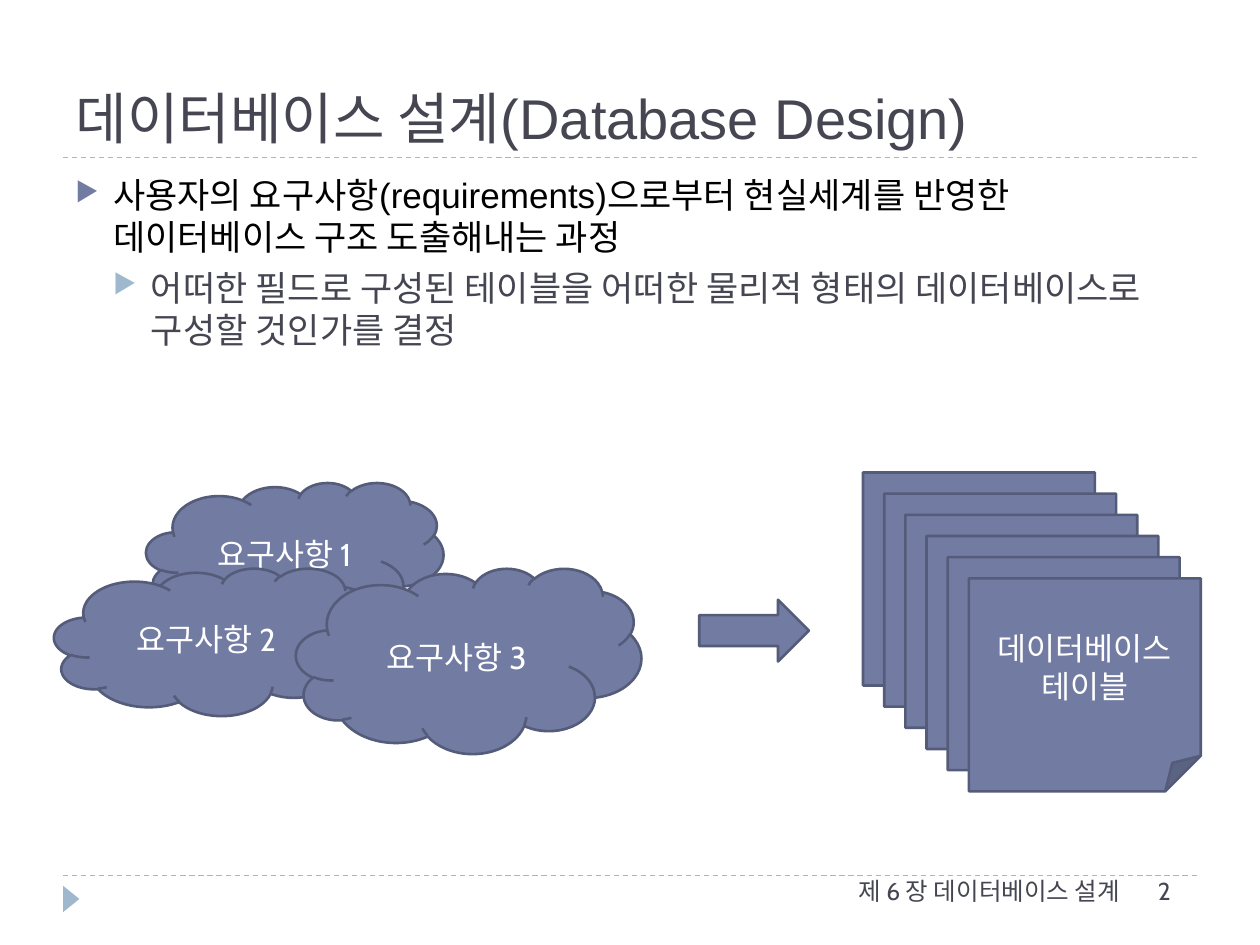
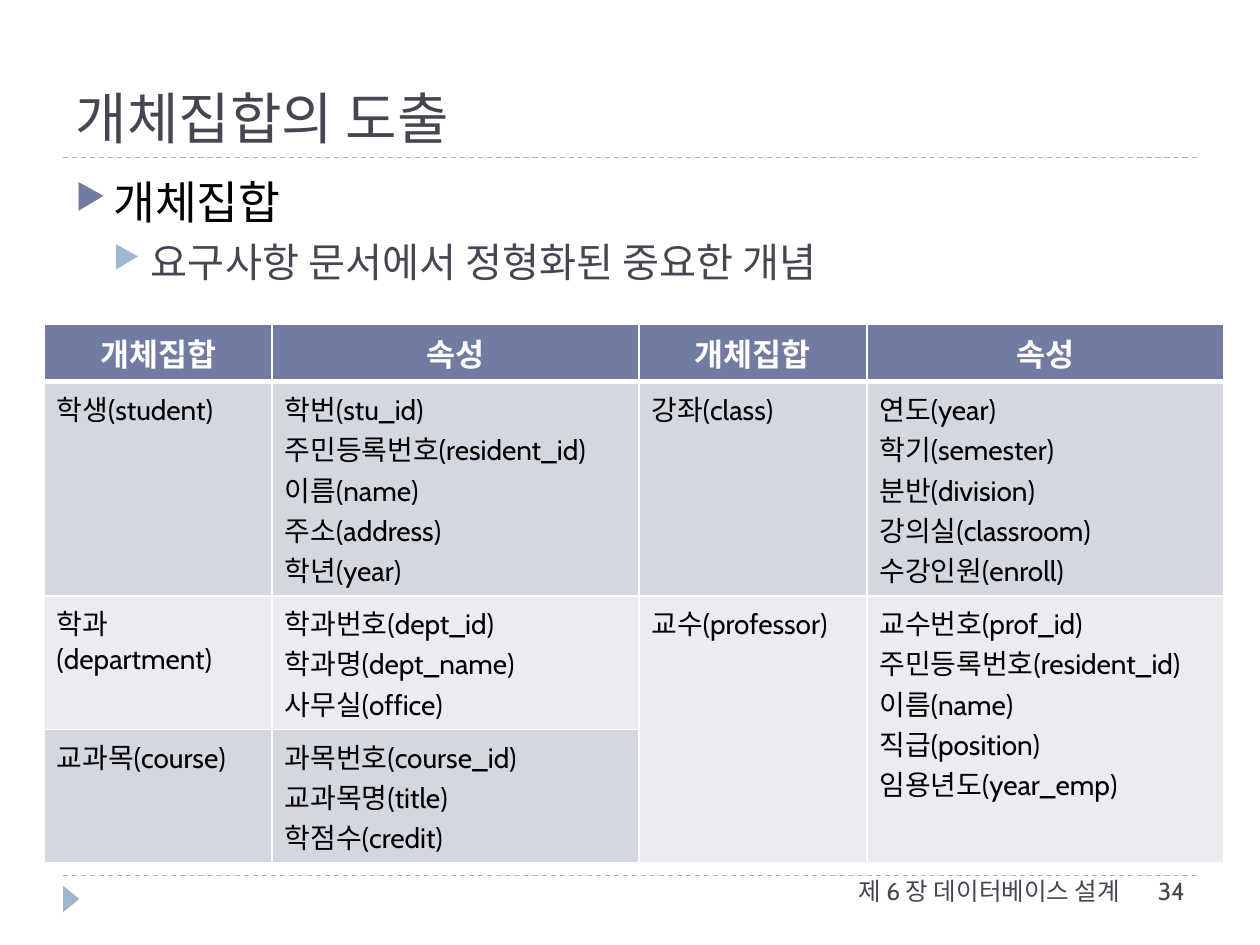
from lxml.etree import SubElement
from pptx import Presentation
from pptx.dml.color import RGBColor
from pptx.enum.dml import MSO_LINE
from pptx.enum.shapes import MSO_CONNECTOR, MSO_SHAPE
from pptx.enum.text import MSO_ANCHOR, MSO_AUTO_SIZE, PP_ALIGN
from pptx.oxml.ns import qn
from pptx.util import Inches, Pt

INDIGO = RGBColor(0x72, 0x7C, 0xA3)
OUTLINE = RGBColor(0x54, 0x5C, 0x79)
SKY = RGBColor(0x9F, 0xB8, 0xCD)
SLATE = RGBColor(0x46, 0x46, 0x53)
BAND_DARK = RGBColor(0xD5, 0xD7, 0xE0)
BAND_LIGHT = RGBColor(0xEB, 0xEC, 0xF0)
WHITE = RGBColor(0xFF, 0xFF, 0xFF)
BLACK = RGBColor(0x00, 0x00, 0x00)

TITLE = {"name": "Arial", "size": Pt(32), "color": SLATE}
FOOTER = {"name": "Cabin", "size": Pt(14), "color": SLATE}
SHAPE_TEXT = {"name": "Cabin", "size": Pt(18), "color": WHITE}
TABLE_HEAD = {"name": "Cabin", "size": Pt(18), "color": WHITE, "bold": True}
TABLE_BODY = {"name": "Cabin", "size": Pt(16), "color": BLACK, "bold": False}


def write(frame, lines, style, align=PP_ALIGN.LEFT):
    """Fill a text frame with one paragraph per line."""
    for index, line in enumerate(lines):
        para = frame.paragraphs[0] if index == 0 else frame.add_paragraph()
        para.alignment = align
        span = para.add_run()
        span.text = line
        for key, value in style.items():
            if key == "color":
                span.font.color.rgb = value
            else:
                setattr(span.font, key, value)


def add_figure(shapes, kind, left, top, width, height, lines=()):
    """Add an outlined indigo shape with centred text."""
    shape = shapes.add_shape(kind, Inches(left), Inches(top), Inches(width), Inches(height))
    shape.shadow.inherit = False
    shape.fill.solid()
    shape.fill.fore_color.rgb = INDIGO
    shape.line.color.rgb = OUTLINE
    shape.line.width = Pt(1.5)
    shape.text_frame.vertical_anchor = MSO_ANCHOR.MIDDLE
    write(shape.text_frame, lines, SHAPE_TEXT, PP_ALIGN.CENTER)


deck = Presentation()
deck.slide_width, deck.slide_height = Inches(10), Inches(7.5)

# Title, page number and the two bullets (text, size) of each slide
outlines = [
    ("데이터베이스 설계(Database Design)", "2", [
        ("사용자의 요구사항(requirements)으로부터 현실세계를 반영한 데이터베이스 구조 도출해내는 과정", 20),
        ("어떠한 필드로 구성된 테이블을 어떠한 물리적 형태의 데이터베이스로 구성할 것인가를 결정", 20)]),
    ("개체집합의 도출", "34", [
        ("개체집합", 26),
        ("요구사항 문서에서 정형화된 중요한 개념", 23)]),
]
# Text colour, bullet colour and space before of each bullet level
levels = [(BLACK, INDIGO, 6), (SLATE, SKY, 5)]

pages = []
for heading, number, bullets in outlines:
    page = deck.slides.add_slide(deck.slide_layouts[5])
    pages.append(page)

    # Dashed rules and corner marker
    for y in (6.95, 1.25):
        rule = page.shapes.add_connector(
            MSO_CONNECTOR.STRAIGHT, Inches(0.5), Inches(y), Inches(9.5), Inches(y))
        rule.line.color.rgb = SKY
        rule.line.width = Pt(0.75)
        rule.line.dash_style = MSO_LINE.DASH
        SubElement(rule._element.spPr, qn("a:effectLst"))
    marker = page.shapes.add_shape(
        MSO_SHAPE.ISOSCELES_TRIANGLE, Inches(0.46), Inches(7.07), Inches(0.21), Inches(0.13))
    marker.rotation = 90
    marker.shadow.inherit = False
    marker.fill.solid()
    marker.fill.fore_color.rgb = SKY
    marker.line.fill.background()

    # Title
    title = page.shapes.title
    title.left, title.top, title.width, title.height = map(Inches, (0.5, 0.17, 9, 1.08))
    title.text_frame.auto_size = MSO_AUTO_SIZE.NONE
    title.text_frame.vertical_anchor = MSO_ANCHOR.BOTTOM
    write(title.text_frame, [heading], TITLE)

    # Bullets
    body = page.shapes.add_textbox(Inches(0.5), Inches(1.33), Inches(9), Inches(5.4))
    body.text_frame.word_wrap = True
    write(body.text_frame, [text for text, size in bullets], {"name": "Arial"})
    for level, para in enumerate(body.text_frame.paragraphs):
        text_color, bullet_color, space = levels[level]
        para.level = level
        para.space_before = Pt(space)
        para.runs[0].font.size = Pt(bullets[level][1])
        para.runs[0].font.color.rgb = text_color
        properties = para._p.get_or_add_pPr()
        properties.set("marL", str(Inches(0.3 * (level + 1))))
        properties.set("indent", str(Inches(-0.3)))
        color = SubElement(properties, qn("a:buClr"))
        SubElement(color, qn("a:srgbClr"), val=str(bullet_color))
        SubElement(properties, qn("a:buSzPct"), val="76000")
        SubElement(properties, qn("a:buChar"), char="▶")

    # Footer
    for left, width, text, align in (
            (5.19, 3.8, "제 6 장 데이터베이스 설계", PP_ALIGN.RIGHT),
            (9.09, 0.71, number, PP_ALIGN.LEFT)):
        box = page.shapes.add_textbox(Inches(left), Inches(6.9), Inches(width), Inches(0.4))
        box.text_frame.word_wrap = True
        write(box.text_frame, [text], FOOTER, align)

design_page, entity_page = pages

# Requirement clouds
clouds = design_page.shapes.add_group_shape().shapes
cloud_places = [(1.16, 3.83, 2.36, 1.18), (0.43, 4.51, 2.6, 1.17), (2.35, 4.51, 2.74, 1.47)]
for count, place in enumerate(cloud_places, start=1):
    add_figure(clouds, MSO_SHAPE.CLOUD, *place, [f"요구사항 {count}"])

# Stack of database tables
sheets = design_page.shapes.add_group_shape().shapes
sheet_count = 6
for index in range(sheet_count):
    offset = index * 0.84 / (sheet_count - 1)
    label = ["데이터베이스", "테이블"] if index == sheet_count - 1 else []
    add_figure(sheets, MSO_SHAPE.FOLDED_CORNER, 6.85 + offset, 3.75 + offset, 1.84, 1.69, label)

add_figure(design_page.shapes, MSO_SHAPE.RIGHT_ARROW, 5.55, 4.76, 0.87, 0.49)

# Entity table: each cell is a list of lines, None is covered by a merge
rows = [
    [["개체집합"], ["속성"], ["개체집합"], ["속성"]],
    [["학생(student)"],
     ["학번(stu_id)", "주민등록번호(resident_id)", "이름(name)", "주소(address)", "학년(year)"],
     ["강좌(class)"],
     ["연도(year)", "학기(semester)", "분반(division)", "강의실(classroom)", "수강인원(enroll)"]],
    [["학과(department)"],
     ["학과번호(dept_id)", "학과명(dept_name)", "사무실(office)"],
     ["교수(professor)"],
     ["교수번호(prof_id)", "주민등록번호(resident_id)", "이름(name)", "직급(position)",
      "임용년도(year_emp)"]],
    [["교과목(course)"], ["과목번호(course_id)", "교과목명(title)", "학점수(credit)"], None, None],
]
column_widths = [1.81, 2.91, 1.81, 2.83]
row_heights = [0.46, 1.7, 1.06, 1.06]
row_fills = [INDIGO, BAND_DARK, BAND_LIGHT, BAND_DARK]

table = entity_page.shapes.add_table(
    len(rows), len(column_widths), Inches(0.35), Inches(2.57),
    Inches(sum(column_widths)), Inches(sum(row_heights))).table
table.horz_banding = False
for column, width in zip(table.columns, column_widths):
    column.width = Inches(width)
for row, height in zip(table.rows, row_heights):
    row.height = Inches(height)
for column_index in (2, 3):
    table.cell(2, column_index).merge(table.cell(3, column_index))

for row_index, row in enumerate(rows):
    is_head = row_index == 0
    for column_index, lines in enumerate(row):
        cell = table.cell(row_index, column_index)
        thick_side = {0: "lnB", 1: "lnT"}.get(row_index)
        for side in ("lnL", "lnR", "lnT", "lnB"):
            border = SubElement(cell._tc.get_or_add_tcPr(), qn(f"a:{side}"),
                                w=str(Pt(3 if side == thick_side else 1)))
            paint = SubElement(border, qn("a:solidFill"))
            SubElement(paint, qn("a:srgbClr"), val=str(WHITE))
        cell.fill.solid()
        cell.fill.fore_color.rgb = BAND_LIGHT if lines is None else row_fills[row_index]
        if lines:
            write(cell.text_frame, lines, TABLE_HEAD if is_head else TABLE_BODY,
                  PP_ALIGN.CENTER if is_head else PP_ALIGN.LEFT)

deck.save("out.pptx")
